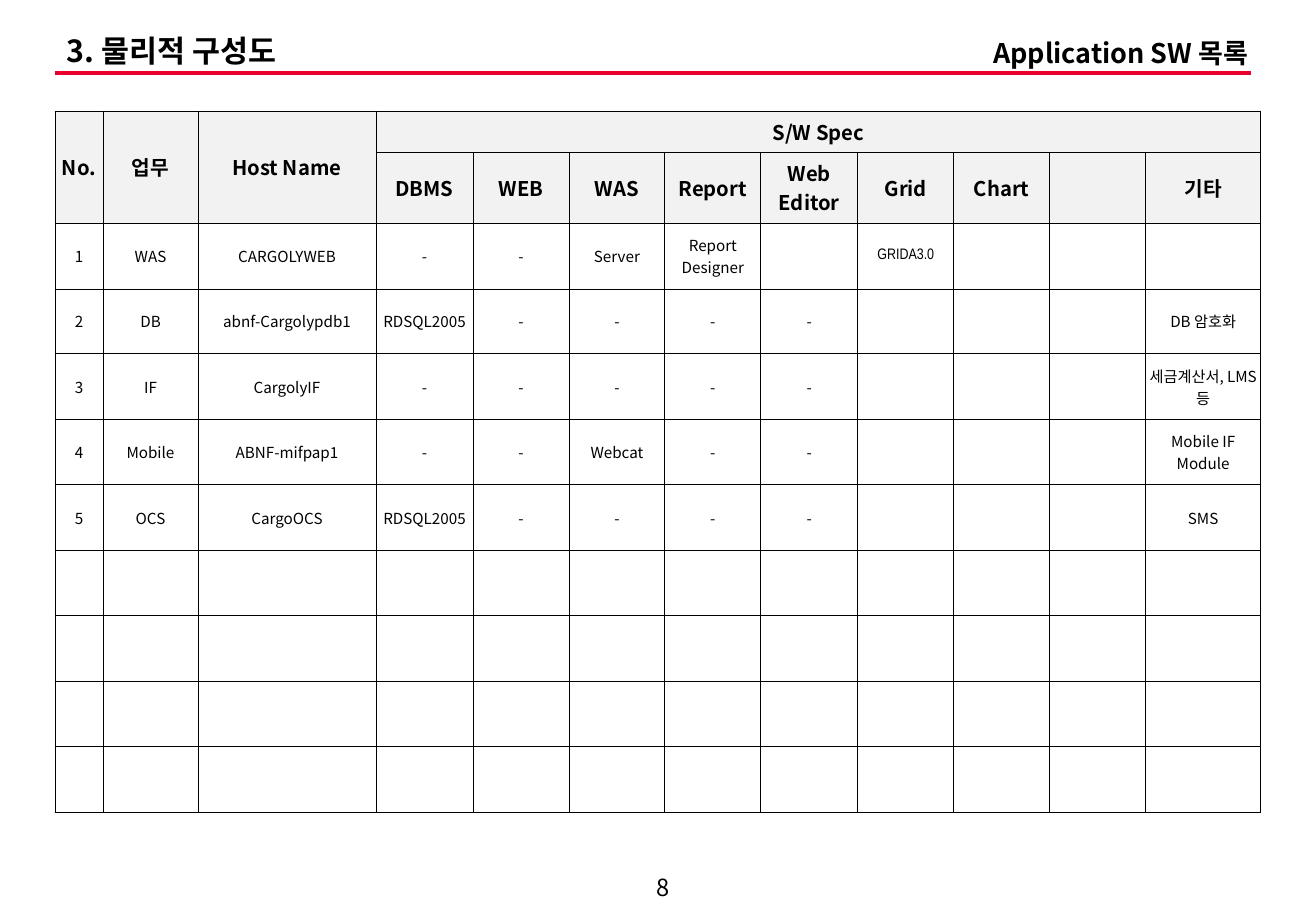
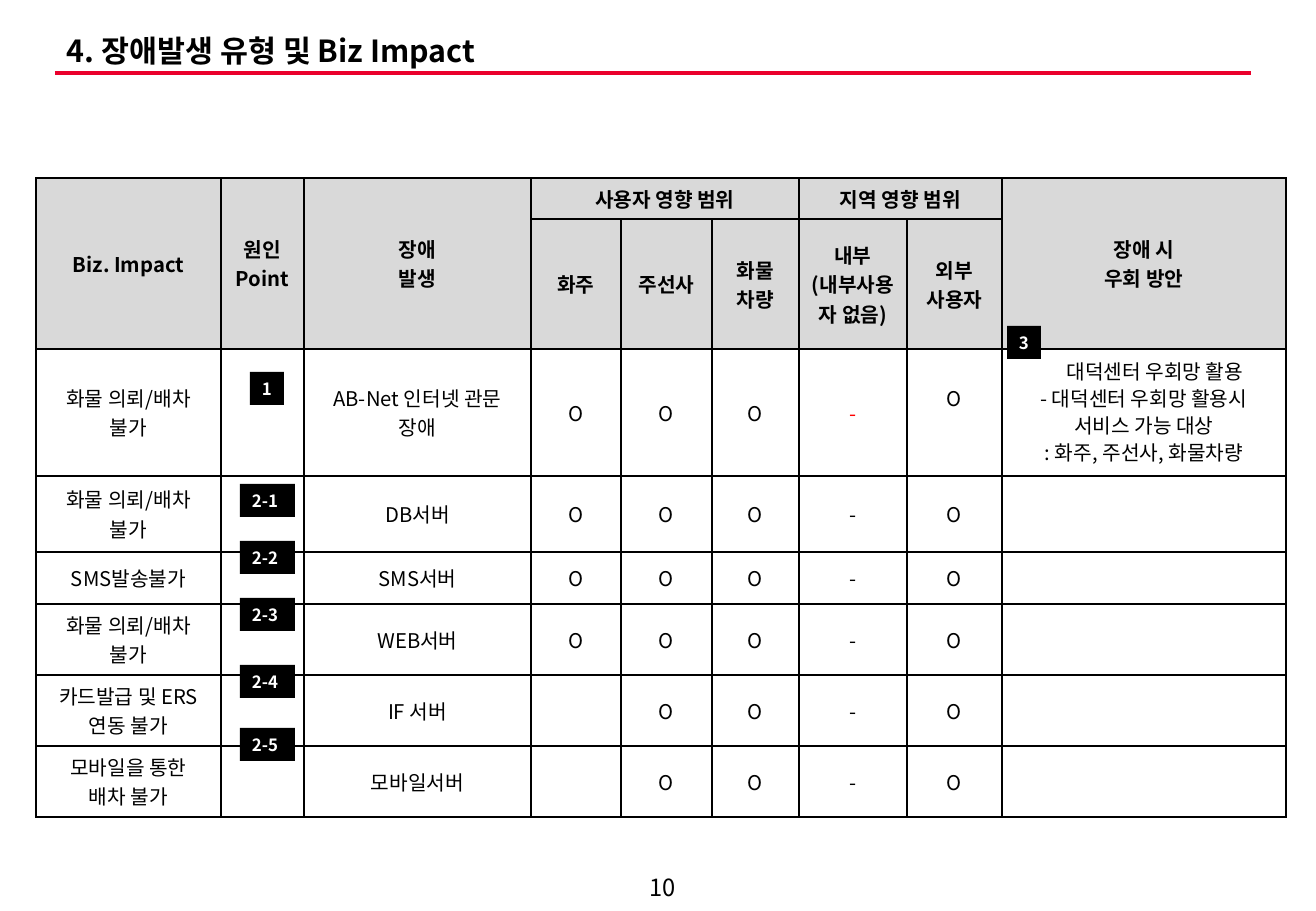
from lxml import etree
from pptx import Presentation
from pptx import util as u
from pptx.dml import color
from pptx.enum import shapes, text
from pptx.oxml import ns

SCALE = 914400 / 121.5
FONT = "Noto Sans CJK KR"
COLORS = {
    "ink": "000000",
    "paper": "FFFFFF",
    "accent": "EA002C",
    "alert": "FF0000",
    "light_header": "F2F2F2",
    "dark_header": "D9D9D9",
}
SLIDE_SIZE = (1316, 911)
HEADING_BOX = (55, 30, 1158, 45)
SUBTITLE_BOX = (927, 30, 333, 45)
RULE = (55, 73, 1251, 73)
NUMBER_BOX = (620, 868, 86, 38)

SOFTWARE_HEADER = [
    ["No.", "업무", "Host Name", "S/W Spec"] + [""] * 8,
    ["", "", "", "DBMS", "WEB", "WAS", "Report", "Web Editor", "Grid", "Chart", "", "기타"],
]
SOFTWARE_ROWS = [
    ["1", "WAS", "CARGOLYWEB", "-", "-", "Server", "Report Designer", "", "GRIDA3.0", "", "", ""],
    ["2", "DB", "abnf-Cargolypdb1", "RDSQL2005", "-", "-", "-", "-", "", "", "", "DB 암호화"],
    ["3", "IF", "CargolyIF", "-", "-", "-", "-", "-", "", "", "", "세금계산서, LMS 등"],
    ["4", "Mobile", "ABNF-mifpap1", "-", "-", "Webcat", "-", "-", "", "", "", "Mobile IF Module"],
    ["5", "OCS", "CargoOCS", "RDSQL2005", "-", "-", "-", "-", "", "", "", "SMS"],
] + [[""] * 12] * 4

IMPACT_HEADER = [
    ["Biz. Impact", "원인Point", "장애\n발생", "사용자 영향 범위", "", "",
     "지역 영향 범위", "", "장애 시\n우회 방안"],
    ["", "", "", "화주", "주선사", "화물\n차량", "내부\n(내부사용자 없음)", "외부\n사용자", ""],
]
DETOUR = "대덕센터 우회망 활용\n- 대덕센터 우회망 활용시 서비스 가능 대상\n: 화주, 주선사, 화물차량"
IMPACTS = [
    ("화물 의뢰/배차 불가", "AB-Net 인터넷 관문 장애", "O", DETOUR),
    ("화물 의뢰/배차 불가", "DB서버", "O", ""),
    ("SMS발송불가", "SMS서버", "O", ""),
    ("화물 의뢰/배차 불가", "WEB서버", "O", ""),
    ("카드발급 및 ERS 연동 불가", "IF 서버", "", ""),
    ("모바일을 통한\n배차 불가", "모바일서버", "", ""),
]
BADGES = [
    ("1", 214, 194), ("2-1", 204, 306), ("2-2", 204, 363), ("2-3", 204, 420),
    ("2-4", 204, 487), ("2-5", 204, 550), ("3", 971, 148),
]


def px(value):
    """Turn a length in px into EMU."""
    return u.Emu(round(value * SCALE))


def rgb(name):
    """Return a named colour."""
    return color.RGBColor.from_string(COLORS[name])


def set_face(run, face):
    """Use one typeface for Latin and East Asian letters."""
    run.font.name = face
    properties = run.font._element
    for old in properties.findall(ns.qn("a:ea")):
        properties.remove(old)
    east_asian = etree.Element(ns.qn("a:ea"), typeface=face)
    properties.find(ns.qn("a:latin")).addnext(east_asian)


def write(frame, content, size, bold=False, ink="ink", align=text.PP_ALIGN.CENTER):
    """Fill a text frame, one paragraph for each line of the content."""
    for index, line in enumerate(content.split("\n")):
        paragraph = frame.add_paragraph() if index else frame.paragraphs[0]
        paragraph.alignment = align
        if not line:
            paragraph._p.get_or_add_endParaRPr().set("sz", str(size * 100))
            continue
        run = paragraph.add_run()
        run.text = line
        run.font.size = u.Pt(size)
        run.font.bold = bold
        run.font.color.rgb = rgb(ink)
        set_face(run, FONT)


def add_label(slide, box, content, size, bold, align):
    """Add a text box with its text in the middle of its height."""
    frame = slide.shapes.add_textbox(*map(px, box)).text_frame
    frame.word_wrap = True
    frame.vertical_anchor = text.MSO_ANCHOR.MIDDLE
    write(frame, content, size, bold, align=align)
    return frame


def add_page(presentation, heading, number):
    """Add a slide with the heading, red rule and page number."""
    slide = presentation.slides.add_slide(presentation.slide_layouts[6])
    number_align = text.PP_ALIGN.CENTER
    add_label(slide, NUMBER_BOX, number, 14, False, number_align)
    rule = slide.shapes.add_connector(shapes.MSO_CONNECTOR.STRAIGHT, *map(px, RULE))
    rule.line.color.rgb = rgb("accent")
    rule.line.width = u.Pt(2.25)
    etree.SubElement(rule._element.spPr, ns.qn("a:effectLst"))
    frame = add_label(slide, HEADING_BOX, heading, 18, True, text.PP_ALIGN.LEFT)
    frame.paragraphs[0].line_spacing = 0.9
    return slide


def set_borders(cell, width):
    """Draw the four edges of a cell."""
    properties = cell._tc.get_or_add_tcPr()
    for edge in ("lnL", "lnR", "lnT", "lnB"):
        line = etree.SubElement(properties, ns.qn("a:" + edge), w=str(u.Pt(width)))
        fill = etree.SubElement(line, ns.qn("a:solidFill"))
        etree.SubElement(fill, ns.qn("a:srgbClr"), val=COLORS["ink"])


def add_grid(slide, origin, columns, heights, header, body, merges,
             header_fill, body_size, border, side_margin):
    """Add a table whose first rows are a bold, tinted header."""
    rows = header + body
    box = (*origin, sum(columns), sum(heights))
    table = slide.shapes.add_table(len(rows), len(columns), *map(px, box)).table
    table.first_row = table.horz_banding = False
    for column, width in zip(table.columns, columns):
        column.width = px(width)
    for row, height in zip(table.rows, heights):
        row.height = px(height)
    for row_index, row in enumerate(rows):
        is_header = row_index < len(header)
        for column_index, content in enumerate(row):
            cell = table.cell(row_index, column_index)
            set_borders(cell, border)
            cell.fill.solid()
            cell.fill.fore_color.rgb = rgb(header_fill if is_header else "paper")
            cell.vertical_anchor = text.MSO_ANCHOR.MIDDLE
            cell.margin_left = cell.margin_right = px(side_margin)
            cell.margin_top = cell.margin_bottom = px(6)
            write(cell.text_frame, content, 12 if is_header else body_size, is_header)
    for top, left, bottom, right in merges:
        table.cell(top, left).merge(table.cell(bottom, right))
    return table


def add_badge(slide, origin, label, left, top):
    """Add a black number tag at an offset from the origin."""
    box = (origin[0] + left, origin[1] + top, 34 if len(label) == 1 else 55, 33)
    badge = slide.shapes.add_shape(shapes.MSO_SHAPE.RECTANGLE, *map(px, box))
    badge.shadow.inherit = False
    badge.fill.solid()
    badge.fill.fore_color.rgb = rgb("ink")
    badge.line.fill.background()
    badge.text_frame.word_wrap = False
    badge.text_frame.vertical_anchor = text.MSO_ANCHOR.MIDDLE
    write(badge.text_frame, label, 10, True, "paper", text.PP_ALIGN.LEFT)


def add_software_slide(presentation, origin):
    """Add the list of application software for each host."""
    slide = add_page(presentation, "3. 물리적 구성도", "8")
    add_label(slide, SUBTITLE_BOX, "Application SW 목록", 16, True, text.PP_ALIGN.RIGHT)
    columns = [48, 95, 178] + [97, 96, 96, 96] * 2 + [115]
    heights = [41, 71] + [66, 65] * 4 + [66]
    merges = [(0, column, 1, column) for column in range(3)] + [(0, 3, 0, 11)]
    table = add_grid(slide, origin, columns, heights, SOFTWARE_HEADER, SOFTWARE_ROWS,
                     merges, "light_header", 9, 0.5, 0)
    set_face(table.cell(2, 8).text_frame.paragraphs[0].runs[0], "Arial Narrow")


def add_impact_slide(presentation, origin):
    """Add the table of failure types with its number tags."""
    slide = add_page(presentation, "4. 장애발생 유형 및 Biz Impact", "10")
    columns = [185, 83, 227, 90, 91, 87, 108, 95, 284]
    heights = [41, 130, 127, 76, 52, 71, 71, 71]
    body = [[impact, "", failure, shipper, "O", "O", "-", "O", detour]
            for impact, failure, shipper, detour in IMPACTS]
    merges = [(0, column, 1, column) for column in (0, 1, 2, 8)]
    merges += [(0, 3, 0, 5), (0, 6, 0, 7)]
    table = add_grid(slide, origin, columns, heights, IMPACT_HEADER, body,
                     merges, "dark_header", 12, 1, 12)
    table.cell(2, 6).text_frame.paragraphs[0].runs[0].font.color.rgb = rgb("alert")
    table.cell(2, 7).margin_bottom = px(36)
    detour_lines = table.cell(2, 8).text_frame.paragraphs
    for paragraph in detour_lines:
        paragraph.line_spacing = u.Pt(16)
    detour_lines[0]._p.get_or_add_pPr().set("marL", str(px(22)))
    for badge in BADGES:
        add_badge(slide, origin, *badge)


def main():
    """Build and save the presentation."""
    presentation = Presentation()
    presentation.slide_width, presentation.slide_height = map(px, SLIDE_SIZE)
    add_software_slide(presentation, (55, 111))
    add_impact_slide(presentation, (36, 178))
    presentation.save("out.pptx")


if __name__ == "__main__":
    main()
